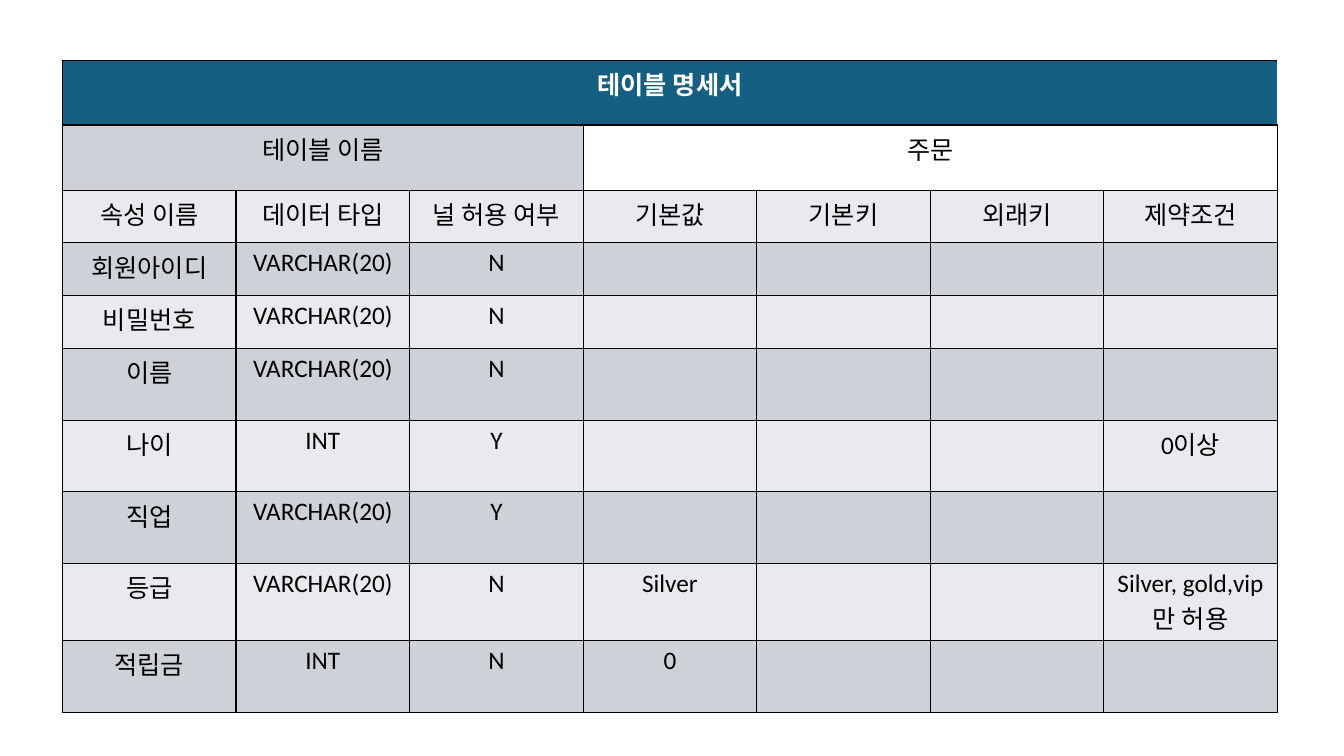
from lxml import etree
from pptx import Presentation, util as u
from pptx.dml.color import RGBColor
from pptx.enum import text
from pptx.oxml.ns import qn

HEADER, DARK, LIGHT, WHITE, BLACK = "156082", "CCD2D8", "E8EAED", "FFFFFF", "000000"
COLUMN_WIDTH = 12.05 / 7
ROW_HEIGHTS = [0.64, 0.65, 0.52, 0.52, 0.53, 0.71, 0.71, 0.71, 0.76, 0.71]
ROWS = [
    ["테이블 명세서", "", "", "", "", "", ""],
    ["테이블 이름", "", "", "주문", "", "", ""],
    ["속성 이름", "데이터 타입", "널 허용 여부", "기본값", "기본키", "외래키", "제약조건"],
    ["회원아이디", "VARCHAR(20)", "N", "", "", "", ""],
    ["비밀번호", "VARCHAR(20)", "N", "", "", "", ""],
    ["이름", "VARCHAR(20)", "N", "", "", "", ""],
    ["나이", "INT", "Y", "", "", "", "0이상"],
    ["직업", "VARCHAR(20)", "Y", "", "", "", ""],
    ["등급", "VARCHAR(20)", "N", "Silver", "", "", "Silver, gold,vip만 허용"],
    ["적립금", "INT", "N", "0", "", "", ""],
]


def rgb(value):
    return RGBColor.from_string(value)


def add_borders(cell, right_color):
    """Draw 1 pt borders, black except for the given right side."""
    properties = cell._tc.get_or_add_tcPr()
    for side in "LRTB":
        line = etree.SubElement(properties, qn(f"a:ln{side}"), w=str(u.Pt(1)))
        fill = etree.SubElement(line, qn("a:solidFill"))
        color = right_color if side == "R" else BLACK
        etree.SubElement(fill, qn("a:srgbClr"), val=color)


deck = Presentation()
deck.slide_width, deck.slide_height = u.Inches(13.33), u.Inches(7.5)
page = deck.slides.add_slide(deck.slide_layouts[6])
table = page.shapes.add_table(
    len(ROWS), 7, u.Inches(0.62), u.Inches(0.6),
    u.Inches(12.05), u.Inches(sum(ROW_HEIGHTS)),
).table
table.first_row = table.horz_banding = False

for column in table.columns:
    column.width = u.Inches(COLUMN_WIDTH)
for row, height in zip(table.rows, ROW_HEIGHTS):
    row.height = u.Inches(height)

for r, words in enumerate(ROWS):
    is_header = r == 0
    for c, word in enumerate(words):
        cell = table.cell(r, c)
        add_borders(cell, WHITE if is_header else BLACK)
        if is_header:
            fill = HEADER
        elif r == 1 and c >= 3:
            fill = WHITE
        else:
            fill = DARK if r % 2 else LIGHT
        cell.fill.solid()
        cell.fill.fore_color.rgb = rgb(fill)
        para = cell.text_frame.paragraphs[0]
        para.alignment = text.PP_ALIGN.CENTER
        if word:
            span = para.add_run()
            span.text = word
            span.font.name = "Calibri"
            span.font.size = u.Pt(18)
            span.font.bold = is_header
            span.font.color.rgb = rgb(WHITE if is_header else BLACK)

for r, first, last in [(0, 0, 6), (1, 0, 2), (1, 3, 6)]:
    table.cell(r, first).merge(table.cell(r, last))

deck.save("out.pptx")
